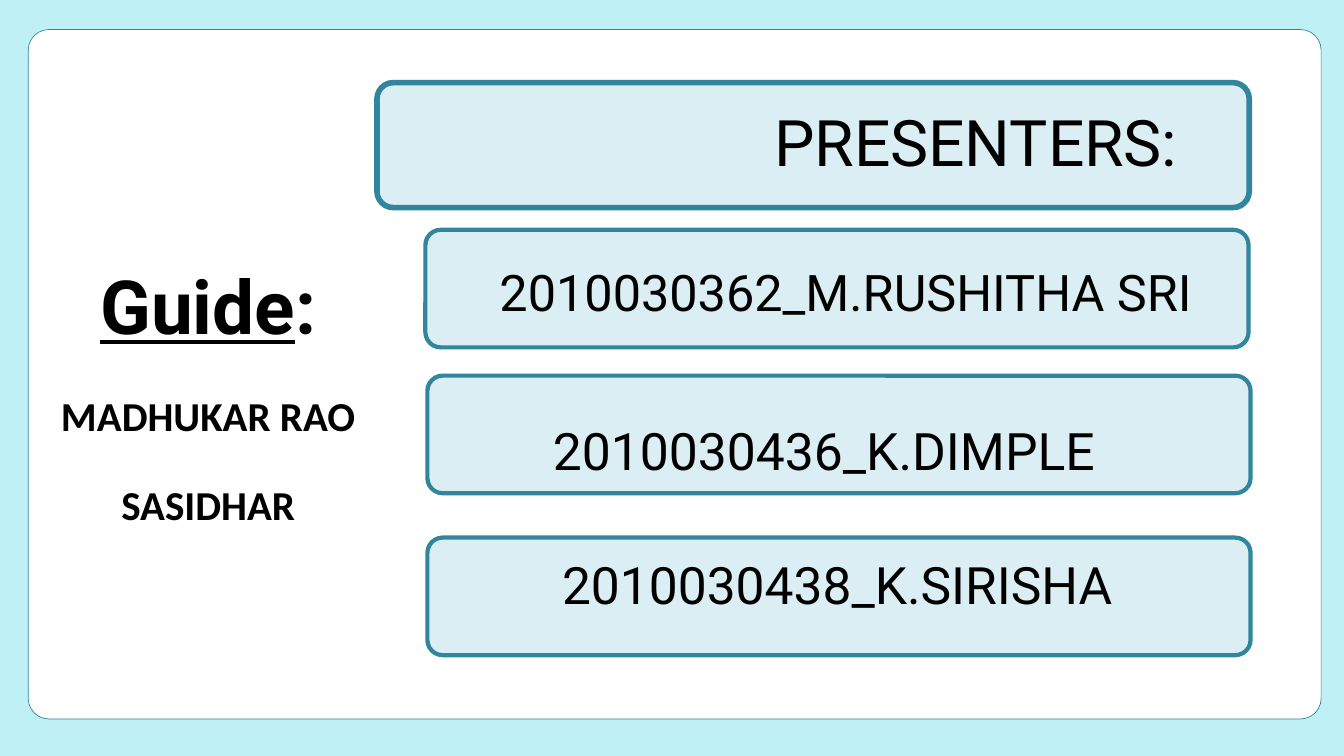
from dataclasses import dataclass
from pptx import Presentation, util as u
from pptx.dml.color import RGBColor
from pptx.enum import shapes, text

WIDE, HIGH = u.Inches(20), u.Inches(11.25)
SKY = RGBColor(0xBF, 0xF0, 0xF6)
WHITE = RGBColor(0xFF, 0xFF, 0xFF)
PALE = RGBColor(0xDB, 0xEE, 0xF4)
TEAL = RGBColor(0x31, 0x85, 0x9C)
BLACK = RGBColor(0, 0, 0)


@dataclass
class Box:
    x: float
    y: float
    w: float
    h: float

    def place(self) -> tuple[int, ...]:
        return tuple(int(part * side / 100) for part, side in
                     ((self.x, WIDE), (self.y, HIGH), (self.w, WIDE), (self.h, HIGH)))


@dataclass
class Card:
    box: Box
    fill: RGBColor
    line: float
    curve: float


@dataclass
class Run:
    words: str
    size: float
    font: str = "Roboto"
    bold: bool = False
    under: bool = False


@dataclass
class Label:
    box: Box
    pitch: float
    lines: list[list[Run]]


def draw_card(slide, card: Card) -> None:
    shape = slide.shapes.add_shape(shapes.MSO_SHAPE.ROUNDED_RECTANGLE, *card.box.place())
    shape.adjustments[0] = card.curve
    shape.shadow.inherit = False
    shape.fill.solid()
    shape.fill.fore_color.rgb = card.fill
    shape.line.color.rgb = TEAL
    shape.line.width = u.Pt(card.line)


def add_run(para, item: Run) -> None:
    for row, words in enumerate(item.words.split("\n")):
        if row:
            para.add_line_break()
        run = para.add_run()
        run.text = words
        font = run.font
        font.name, font.size = item.font, u.Pt(item.size)
        font.bold, font.underline = item.bold, item.under
        font.color.rgb = BLACK


def write_label(shape, label: Label) -> None:
    shape.left, shape.top, shape.width, shape.height = label.box.place()
    frame = shape.text_frame
    frame.margin_left = frame.margin_right = frame.margin_top = frame.margin_bottom = 0
    frame.word_wrap = True
    frame.auto_size = text.MSO_AUTO_SIZE.NONE
    frame.vertical_anchor = text.MSO_ANCHOR.TOP
    for row, runs in enumerate(label.lines):
        para = frame.add_paragraph() if row else frame.paragraphs[0]
        para.alignment = text.PP_ALIGN.CENTER
        para.line_spacing = u.Pt(label.pitch)
        para.space_before = u.Pt(0)
        for item in runs:
            add_run(para, item)


CARDS = [
    Card(Box(2.1, 3.91, 96.2, 91.2), WHITE, 0.75, 0.03),
    Card(Box(28.05, 10.93, 64.9, 16.53), PALE, 6, 0.13),
] + [
    Card(Box(x, y, 61.25, 15.55), PALE, 4.5, 0.13)
    for x, y in ((31.65, 30.4), (31.8, 49.69), (31.8, 71.11))
]

TITLE = Label(Box(52.3, 13.51, 40.65, 10.22), 82.5, [[Run("PRESENTERS:", 68.7)]])

LABELS = [
    Label(Box(2.1, 34.4, 26.8, 47.91), 96, [
        [Run("Guide", 80, bold=True, under=True), Run(":", 80, bold=True)],
        [Run("MADHUKAR RAO\nSASIDHAR", 44, "Calibri", bold=True)],
    ]),
    Label(Box(34.1, 35.29, 57.65, 7.38), 58.5, [[Run("2010030362_M.RUSHITHA SRI", 54)]]),
    Label(Box(37.1, 55.38, 48.4, 8.18), 66.3, [[Run("2010030436_K.DIMPLE", 55.3)]]),
    Label(Box(40.05, 73.16, 44.5, 8.18), 66.2, [[Run("2010030438_K.SIRISHA", 55.2)]]),
]


def main() -> None:
    deck = Presentation()
    deck.slide_width, deck.slide_height = WIDE, HIGH
    slide = deck.slides.add_slide(deck.slide_layouts.get_by_name("Title Only"))
    back = slide.background.fill
    back.solid()
    back.fore_color.rgb = SKY
    for card in CARDS:
        draw_card(slide, card)
    title = slide.shapes.title
    slide.shapes._spTree.append(title._element)
    write_label(title, TITLE)
    for label in LABELS:
        write_label(slide.shapes.add_textbox(*label.box.place()), label)
    deck.save("out.pptx")


if __name__ == "__main__":
    main()
